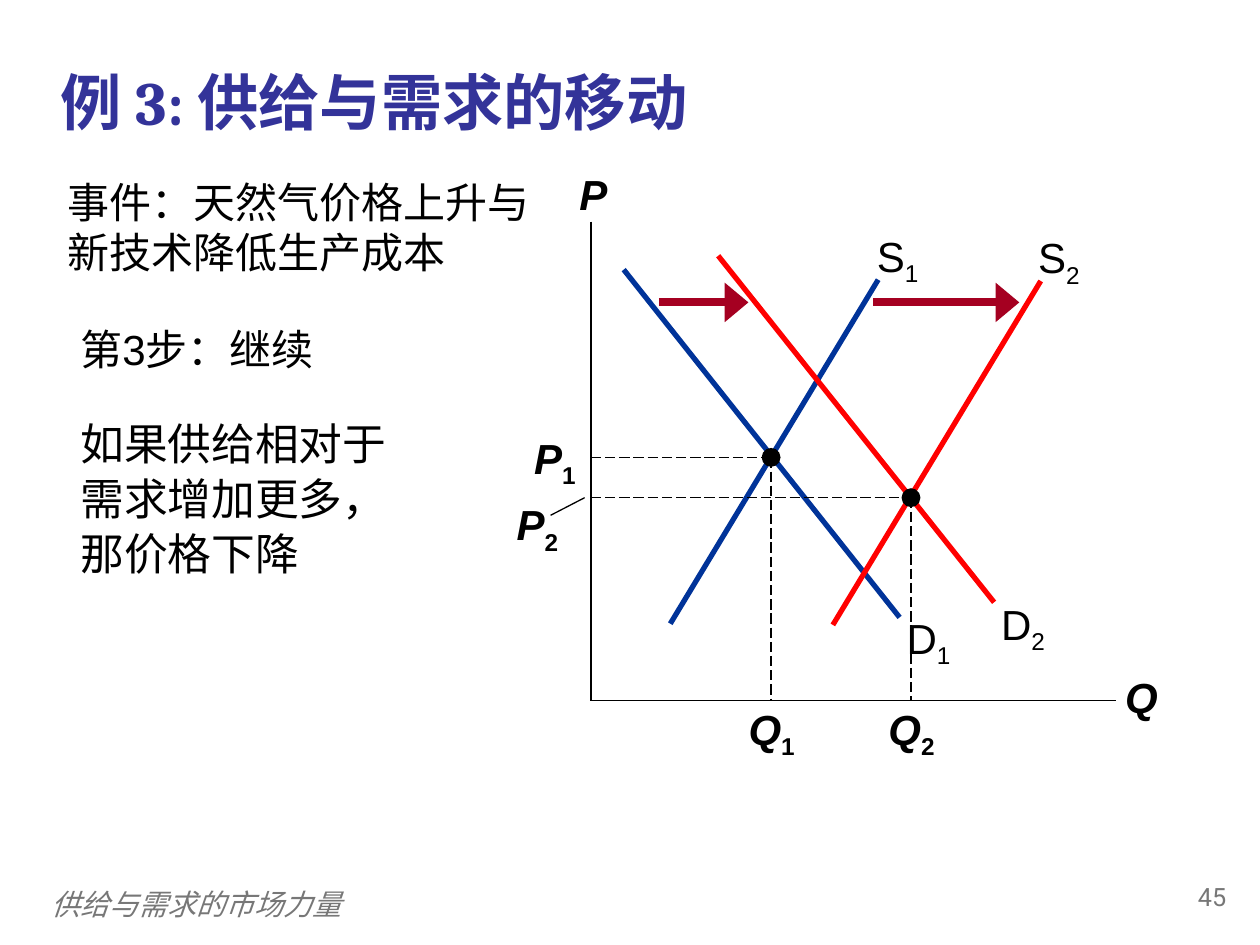
import pptx
import pptx.util
import pptx.dml.color
import pptx.enum.dml
import pptx.enum.shapes
import pptx.enum.text
import lxml.etree
import pptx.oxml.ns

Inches = pptx.util.Inches
Pt = pptx.util.Pt
RGBColor = pptx.dml.color.RGBColor
ALIGN = pptx.enum.text.PP_ALIGN
ANCHOR = pptx.enum.text.MSO_ANCHOR
qn = pptx.oxml.ns.qn

BLACK = RGBColor(0x00, 0x00, 0x00)
GREY = RGBColor(0x77, 0x77, 0x77)
INDIGO = RGBColor(0x33, 0x33, 0x99)
BLUE = RGBColor(0x00, 0x33, 0x99)
RED = RGBColor(0xFF, 0x00, 0x00)
CRIMSON = RGBColor(0xA5, 0x00, 0x21)

AXIS_X = 4.69
AXIS_Y = 5.56


class SlideBuilder:
    font_name = "Arial"
    label_size = 24
    dot_size = 0.15

    def __init__(self, slide):
        self.slide = slide

    def text(self, box, content, size=24, color=BLACK, font=None, bold=None, italic=None,
             align=ALIGN.LEFT, anchor=ANCHOR.TOP, spacing=None, wrap=True):
        shape = self.slide.shapes.add_textbox(*map(Inches, box))
        frame = shape.text_frame
        frame.word_wrap = wrap
        frame.vertical_anchor = anchor
        paragraph = frame.paragraphs[0]
        paragraph.alignment = align
        paragraph.line_spacing = spacing
        paragraph.add_run().text = content
        paragraph.font.name = font or self.font_name
        paragraph.font.size = Pt(size)
        paragraph.font.color.rgb = color
        paragraph.font.bold = bold
        paragraph.font.italic = italic
        return frame

    def label(self, box, letter, index="", strong=False, inset=True):
        frame = self.text(box, letter, self.label_size, bold=strong,
                          align=ALIGN.CENTER, wrap=False)
        if not inset:
            frame.margin_left = frame.margin_right = 0
            frame.margin_top = frame.margin_bottom = 0
        paragraph = frame.paragraphs[0]
        paragraph.runs[0].font.italic = strong
        if index:
            subscript = paragraph.add_run()
            subscript.text = index
            subscript.font._element.set("baseline", "-25000")

    def line(self, start, end, color=BLACK, width=0.75, dashed=False, arrow=False):
        connector = self.slide.shapes.add_connector(
            pptx.enum.shapes.MSO_CONNECTOR.STRAIGHT, *map(Inches, (*start, *end)))
        connector.line.color.rgb = color
        connector.line.width = Pt(width)
        if dashed:
            connector.line.dash_style = pptx.enum.dml.MSO_LINE.LONG_DASH
        if arrow:
            lxml.etree.SubElement(connector.line._get_or_add_ln(), qn("a:tailEnd"),
                                  type="triangle", w="lg", len="med")
        lxml.etree.SubElement(connector._element.spPr, qn("a:effectLst"))

    def dot(self, x, y):
        size = self.dot_size
        shape = self.slide.shapes.add_shape(
            pptx.enum.shapes.MSO_SHAPE.OVAL,
            *map(Inches, (x - size / 2, y - size / 2, size, size)))
        shape.shadow.inherit = False
        shape.fill.solid()
        shape.fill.fore_color.rgb = BLACK
        shape.line.fill.background()

    def curve(self, start, end, color, box, letter, index):
        self.line(start, end, color, 3)
        self.label(box, letter, index)

    def equilibrium(self, x, y, index, price_corner):
        self.label((*price_corner, 0.53, 0.46), "P", index, strong=True, inset=False)
        self.line((AXIS_X, y), (x, y), dashed=True)
        self.line((x, y), (x, AXIS_Y), dashed=True)
        self.dot(x, y)
        self.label((x - 0.26, 5.58, 0.53, 0.46), "Q", index, strong=True, inset=False)


def main():
    presentation = pptx.Presentation()
    presentation.slide_width = Inches(10)
    presentation.slide_height = Inches(7.5)
    builder = SlideBuilder(presentation.slides.add_slide(presentation.slide_layouts[6]))

    builder.text((0.38, 0.18, 9.13, 1.25), "例 3: 供给与需求的移动", 35, INDIGO,
                 "Cambria", bold=True, anchor=ANCHOR.MIDDLE)
    builder.text((0.44, 1.35, 4.06, 1.8), "事件：天然气价格上升与新技术降低生产成本")
    builder.text((0.54, 2.58, 2.81, 0.55), "第3步：继续", spacing=0.85)
    builder.text((0.54, 3.24, 2.78, 2), "如果供给相对于需求增加更多，那价格下降",
                 25, spacing=1.05)

    builder.line((AXIS_X, 1.76), (AXIS_X, AXIS_Y), width=1)
    builder.line((AXIS_X, AXIS_Y), (8.86, AXIS_Y), width=1)
    builder.label((4.48, 1.29, 0.46, 0.5), "P", strong=True)
    builder.label((8.81, 5.28, 0.5, 0.5), "Q", strong=True)

    builder.curve((4.95, 2.14), (7.14, 4.9), BLUE, (7.07, 4.81, 0.6, 0.56), "D", "1")
    builder.curve((5.32, 4.95), (6.97, 2.22), BLUE, (6.81, 1.78, 0.63, 0.56), "S", "1")
    builder.equilibrium(6.12, 3.63, "1", (4.14, 3.43))
    builder.curve((6.61, 4.96), (8.26, 2.23), RED, (8.09, 1.79, 0.63, 0.56), "S", "2")
    builder.curve((5.7, 2.03), (7.89, 4.78), RED, (7.82, 4.7, 0.6, 0.56), "D", "2")
    for start, end in ((6.93, 8.09), (5.23, 5.94)):
        builder.line((start, 2.4), (end, 2.4), CRIMSON, 4.5, arrow=True)
    builder.equilibrium(7.23, 3.95, "2", (4, 3.96))
    builder.line((4.64, 3.95), (4.37, 4.09))

    builder.text((0.31, 6.99, 8.02, 0.4), "供给与需求的市场力量", 16.6, GREY,
                 italic=True, anchor=ANCHOR.MIDDLE, spacing=0.9)
    builder.text((9.08, 6.97, 0.75, 0.4), "45", 14.4, GREY, "Roboto",
                 align=ALIGN.RIGHT, spacing=0.9)

    presentation.save("out.pptx")


if __name__ == "__main__":
    main()
